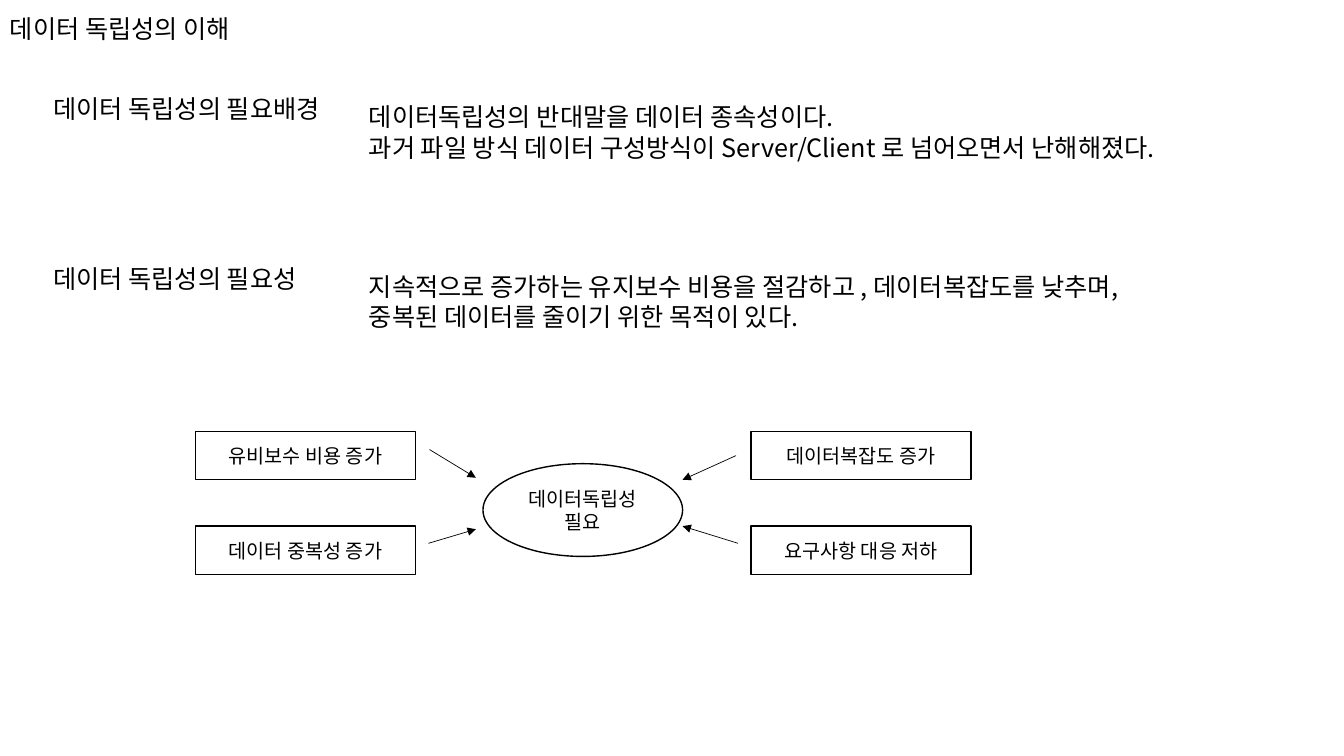
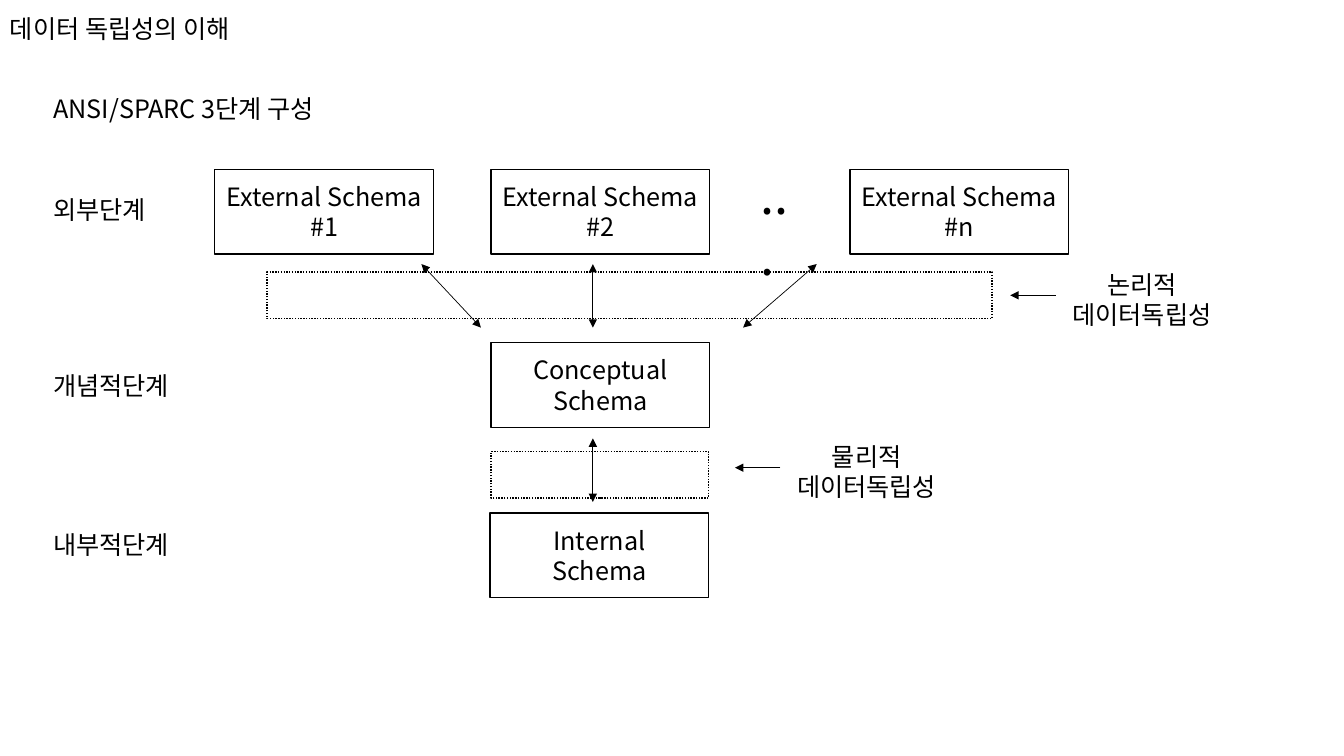
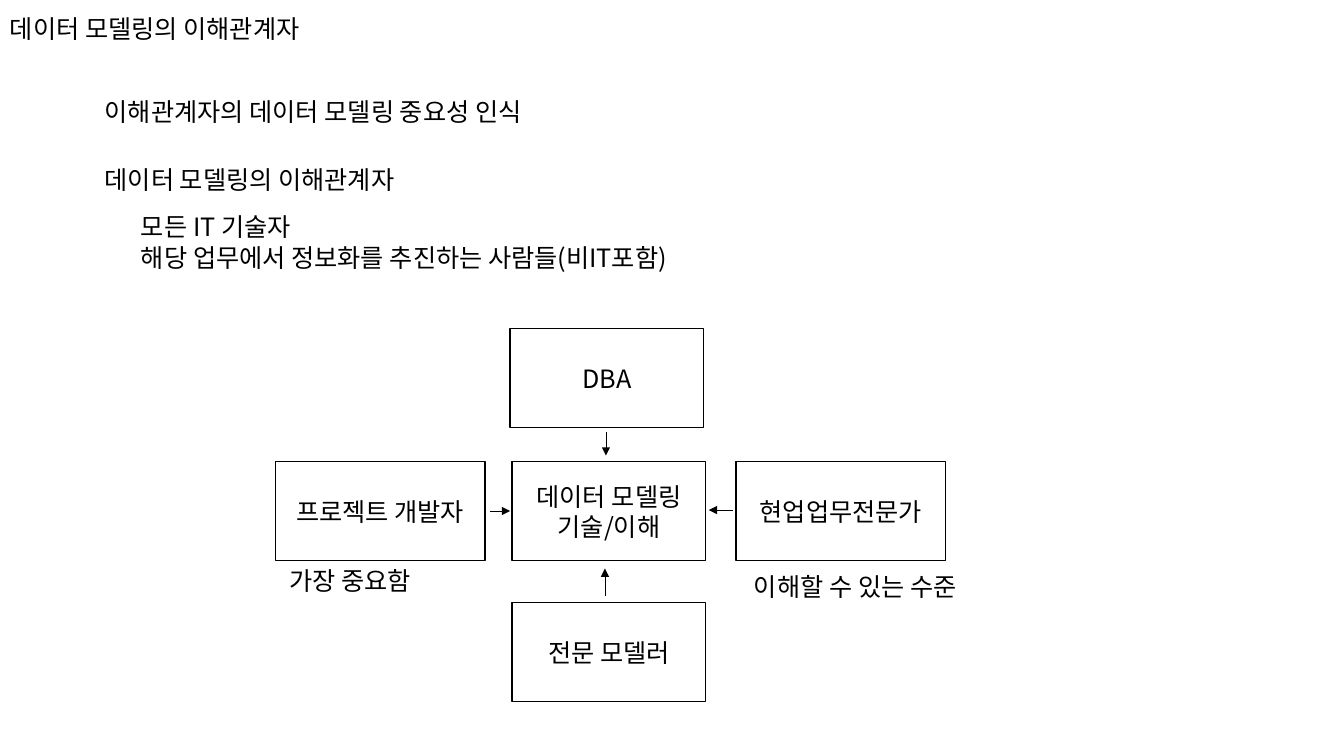
from lxml import etree
from pptx import Presentation
from pptx.dml.color import RGBColor
from pptx.enum.dml import MSO_LINE
from pptx.enum.shapes import MSO_CONNECTOR, MSO_SHAPE
from pptx.enum.text import MSO_ANCHOR, MSO_AUTO_SIZE, PP_ALIGN
from pptx.oxml.ns import qn
from pptx.util import Inches, Pt

RECTANGLE, ELLIPSE = MSO_SHAPE.RECTANGLE, MSO_SHAPE.OVAL
STRAIGHT, DOTTED = MSO_CONNECTOR.STRAIGHT, MSO_LINE.ROUND_DOT
LEFT, CENTER, MIDDLE = PP_ALIGN.LEFT, PP_ALIGN.CENTER, MSO_ANCHOR.MIDDLE
GROW = MSO_AUTO_SIZE.SHAPE_TO_FIT_TEXT

FONT = "Noto Sans CJK KR"
INK, PAPER = "000000", "FFFFFF"
BODY_SIZE, SMALL_SIZE, DOTS_SIZE = 18, 14, 36
LINE_HEIGHT, TWO_LINES = 0.4, 0.71


# Shared helpers
def color(hex_value):
    return RGBColor.from_string(hex_value)


def write(frame, text, size, align):
    for index, line in enumerate(text.split("\n")):
        paragraph = frame.paragraphs[0] if index == 0 else frame.add_paragraph()
        paragraph.alignment = align
        run = paragraph.add_run()
        run.text = line
        for name, value in {"name": FONT, "size": Pt(size)}.items():
            setattr(run.font, name, value)
        run.font.color.rgb = color(INK)
        east_asian = etree.SubElement(run.font._element, qn("a:ea"))
        east_asian.set("typeface", FONT)


def add_text(slide, left, top, width, text, size=BODY_SIZE, align=LEFT):
    height = TWO_LINES if "\n" in text or size == DOTS_SIZE else LINE_HEIGHT
    box = slide.shapes.add_textbox(
        Inches(left), Inches(top), Inches(width), Inches(height))
    frame = box.text_frame
    for name, value in {"word_wrap": True, "auto_size": GROW}.items():
        setattr(frame, name, value)
    write(frame, text, size, align)


def add_node(slide, left, top, width, height, text="", size=BODY_SIZE,
             kind=RECTANGLE, dotted=False):
    shape = slide.shapes.add_shape(
        kind, Inches(left), Inches(top), Inches(width), Inches(height))
    shape.shadow.inherit = False
    shape.line.color.rgb = color(INK)
    shape.line.width = Pt(1)
    if dotted:
        shape.fill.background()
        shape.line.dash_style = DOTTED
    else:
        shape.fill.solid()
        shape.fill.fore_color.rgb = color(PAPER)
    if text:
        frame = shape.text_frame
        for name, value in {"word_wrap": True, "vertical_anchor": MIDDLE}.items():
            setattr(frame, name, value)
        write(frame, text, size, CENTER)


def add_arrow(slide, x1, y1, x2, y2, double=False):
    connector = slide.shapes.add_connector(
        STRAIGHT, Inches(x1), Inches(y1), Inches(x2), Inches(y2))
    connector.line.color.rgb = color(INK)
    connector.line.width = Pt(0.5)
    outline = connector.line._get_or_add_ln()
    for tag in ("a:headEnd", "a:tailEnd") if double else ("a:tailEnd",):
        etree.SubElement(outline, qn(tag)).set("type", "triangle")
    etree.SubElement(connector._element.spPr, qn("a:effectLst"))


def add_slide(presentation, title):
    slide = presentation.slides.add_slide(presentation.slide_layouts[6])
    add_text(slide, 0, 0.08, 4.03, title)
    return slide


# Slide 1: why data independence is needed
def topic(slide, left, top, heading, body):
    add_text(slide, left, top, 3.13, heading)
    add_text(slide, left + 3.13, top + 0.08, 9.08, body)


def causes_diagram(slide, left, top):
    add_node(slide, left + 2.85, top + 0.32, 1.98, 0.92,
             "데이터독립성\n필요", SMALL_SIZE, ELLIPSE)
    causes = [("유비보수 비용 증가", "데이터복잡도 증가"),
              ("데이터 중복성 증가", "요구사항 대응 저하")]
    for row, pair in enumerate(causes):
        for column, cause in enumerate(pair):
            add_node(slide, left + 5.51 * column, top + 0.94 * row,
                     2.18, 0.48, cause, SMALL_SIZE)
    for x1, y1, x2, y2 in [(2.32, 0.18, 2.78, 0.46), (5.36, 0.24, 4.83, 0.48),
                           (2.31, 1.11, 2.78, 0.97), (5.38, 1.11, 4.83, 0.94)]:
        add_arrow(slide, left + x1, top + y1, left + x2, top + y2)


def need_slide(presentation):
    slide = add_slide(presentation, "데이터 독립성의 이해")
    topic(slide, 0.43, 0.88, "데이터 독립성의 필요배경",
          "데이터독립성의 반대말을 데이터 종속성이다.\n"
          "과거 파일 방식 데이터 구성방식이 Server/Client 로 넘어오면서 난해해졌다.")
    topic(slide, 0.43, 2.56, "데이터 독립성의 필요성",
          "지속적으로 증가하는 유지보수 비용을 절감하고 , 데이터복잡도를 낮추며,\n"
          "중복된 데이터를 줄이기 위한 목적이 있다.")
    causes_diagram(slide, 1.94, 4.28)


# Slide 2: three-level schema
def independence_band(slide, left, top, width, label_left, label_top, name):
    add_node(slide, left, top, width, 0.46, dotted=True)
    add_text(slide, label_left, label_top, 1.91, name + "\n데이터독립성", align=CENTER)
    arrow_y = label_top + 0.31
    add_arrow(slide, label_left + 0.1, arrow_y, label_left - 0.35, arrow_y)


def schema_diagram(slide, left, top):
    schemas = [(0, 0, "External Schema\n#1"), (2.74, 0, "External Schema\n#2"),
               (6.3, 0, "External Schema\n#n"), (2.74, 1.72, "Conceptual\nSchema"),
               (2.73, 3.41, "Internal\nSchema")]
    for x, y, name in schemas:
        add_node(slide, left + x, top + y, 2.17, 0.84, name)
    add_text(slide, left + 5.31, top - 0.1, 0.53, "...", DOTS_SIZE)

    # Mappings between levels
    for x1, x2, y in [(2.05, 2.64, 0.94), (3.75, 3.75, 0.94),
                      (5.97, 5.24, 0.94), (3.75, 3.75, 2.67)]:
        add_arrow(slide, left + x1, top + y, left + x2, top + y + 0.63, double=True)
    independence_band(slide, left + 0.52, top + 1.02, 7.19,
                      left + 8.24, top + 0.94, "논리적")
    independence_band(slide, left + 2.74, top + 2.8, 2.16,
                      left + 5.51, top + 2.65, "물리적")


def schema_slide(presentation):
    slide = add_slide(presentation, "데이터 독립성의 이해")
    for top, width, text in [(0.88, 3.13, "ANSI/SPARC 3단계 구성"),
                             (1.88, 1.23, "외부단계"),
                             (3.62, 1.5, "개념적단계"),
                             (5.2, 1.5, "내부적단계")]:
        add_text(slide, 0.43, top, width, text)
    schema_diagram(slide, 2.13, 1.68)


# Slide 3: stakeholders
def stakeholder_diagram(slide, left, top):
    for x, y, width, name in [(2.35, 1.32, 1.92, "데이터 모델링\n기술/이해"),
                              (2.33, 0, 1.92, "DBA"),
                              (4.57, 1.32, 2.08, "현업업무전문가"),
                              (0, 1.32, 2.08, "프로젝트 개발자"),
                              (2.35, 2.72, 1.92, "전문 모델러")]:
        add_node(slide, left + x, top + y, width, 0.98, name)
    for x1, y1, x2, y2 in [(4.54, 1.8, 4.3, 1.8), (2.13, 1.81, 2.33, 1.81),
                           (3.28, 1.03, 3.28, 1.26), (3.27, 2.65, 3.27, 2.38)]:
        add_arrow(slide, left + x1, top + y1, left + x2, top + y2)
    add_text(slide, left + 4.65, top + 2.36, 2.67, "이해할 수 있는 수준")
    add_text(slide, left + 0.04, top + 2.3, 1.7, "가장 중요함")


def stakeholder_slide(presentation):
    slide = add_slide(presentation, "데이터 모델링의 이해관계자")
    add_text(slide, 0.94, 0.91, 9.72, "이해관계자의 데이터 모델링 중요성 인식")
    add_text(slide, 0.94, 1.58, 12.07, "데이터 모델링의 이해관계자")
    add_text(slide, 1.3, 2.05, 9.72,
             "모든 IT 기술자\n해당 업무에서 정보화를 추진하는 사람들(비IT포함)")
    stakeholder_diagram(slide, 2.73, 3.26)


def main():
    presentation = Presentation()
    presentation.slide_width = Inches(13.33)
    presentation.slide_height = Inches(7.5)
    need_slide(presentation)
    schema_slide(presentation)
    stakeholder_slide(presentation)
    presentation.save("out.pptx")


if __name__ == "__main__":
    main()
